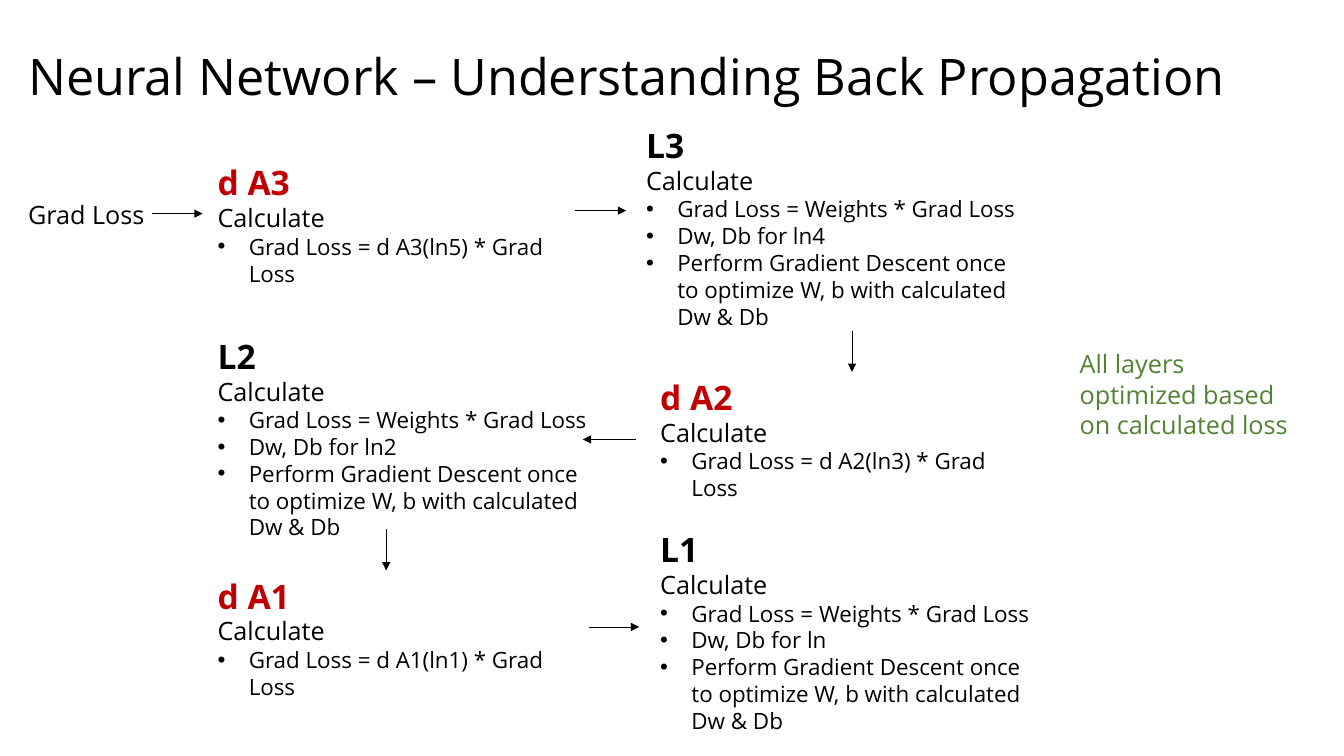
from dataclasses import dataclass

from lxml.etree import SubElement
from pptx import Presentation
from pptx.dml.color import RGBColor
from pptx.enum.shapes import MSO_CONNECTOR
from pptx.enum.text import MSO_ANCHOR, MSO_AUTO_SIZE
from pptx.oxml.ns import qn
from pptx.util import Emu, Pt

EMU_PER_PX = 9144


@dataclass(frozen=True)
class Theme:
    font: str = "Open Sans"
    ink: str = "000000"
    activation: str = "C00000"
    conclusion: str = "548235"
    title: int = 36
    heading: int = 24
    body: int = 18
    bullet: int = 16
    arrow_width: float = 0.5
    bullet_indent: int = 31


THEME = Theme()


def px(length):
    return Emu(length * EMU_PER_PX)


def apply_format(target, values):
    for name, value in values.items():
        setattr(target, name, value)


def add_text_frame(slide, left, top, width, height, **frame_format):
    shape = slide.shapes.add_textbox(px(left), px(top), px(width), px(height))
    defaults = {"word_wrap": True, "auto_size": MSO_AUTO_SIZE.SHAPE_TO_FIT_TEXT}
    apply_format(shape.text_frame, defaults | frame_format)
    return shape.text_frame


def write(paragraph, text, size, color=THEME.ink, bold=False):
    run = paragraph.add_run()
    run.text = text
    apply_format(run.font, {"name": THEME.font, "size": Pt(size), "bold": bold})
    run.font.color.rgb = RGBColor.from_string(color)


def add_bullet(paragraph):
    properties = paragraph._p.get_or_add_pPr()
    indent = px(THEME.bullet_indent)
    properties.set("marL", str(indent))
    properties.set("indent", str(-indent))
    SubElement(properties, qn("a:buFont"), typeface="Arial")
    SubElement(properties, qn("a:buChar"), char="•")


def add_title(slide, text):
    frame = add_text_frame(slide, 18, 6, 1275, 145,
                           auto_size=MSO_AUTO_SIZE.NONE,
                           vertical_anchor=MSO_ANCHOR.MIDDLE)
    frame.paragraphs[0].line_spacing = 0.9
    write(frame.paragraphs[0], text, THEME.title)


def add_label(slide, text, left, top, width, height, color=THEME.ink):
    frame = add_text_frame(slide, left, top, width, height)
    write(frame.paragraphs[0], text, THEME.body, color)


def add_step(slide, heading, color, bullets, left, top, width, height):
    frame = add_text_frame(slide, left, top, width, height)
    write(frame.paragraphs[0], heading, THEME.heading, color, bold=True)
    write(frame.add_paragraph(), "Calculate", THEME.body)
    for text in bullets:
        paragraph = frame.add_paragraph()
        add_bullet(paragraph)
        write(paragraph, text, THEME.bullet)


def add_activation(slide, number, line_name, left, top):
    name = f"d A{number}"
    bullets = [f"Grad Loss = {name}({line_name}) * Grad Loss"]
    add_step(slide, name, THEME.activation, bullets, left, top, 376, 135)


def add_layer(slide, number, line_name, left, top):
    bullets = [
        "Grad Loss = Weights * Grad Loss",
        f"Dw, Db for {line_name}",
        "Perform Gradient Descent once to optimize W, b with calculated Dw & Db",
    ]
    add_step(slide, f"L{number}", THEME.ink, bullets, left, top, 403, 215)


def add_arrow(slide, *ends):
    connector = slide.shapes.add_connector(MSO_CONNECTOR.STRAIGHT, *map(px, ends))
    connector.line.width = Pt(THEME.arrow_width)
    connector.line.color.rgb = RGBColor.from_string(THEME.ink)
    SubElement(connector.line._get_or_add_ln(), qn("a:tailEnd"), type="triangle")
    SubElement(connector._element.spPr, qn("a:effectLst"))


def main():
    presentation = Presentation()
    apply_format(presentation, {"slide_width": px(1333), "slide_height": px(750)})
    slide = presentation.slides.add_slide(presentation.slide_layouts[6])

    add_title(slide, "Neural Network – Understanding Back Propagation")
    add_label(slide, "Grad Loss", 18, 193, 164, 40)

    for activation in [(3, "ln5", 206, 156), (2, "ln3", 645, 369), (1, "ln1", 206, 566)]:
        add_activation(slide, *activation)
    for layer in [(3, "ln4", 631, 119), (2, "ln2", 206, 328), (1, "ln", 645, 520)]:
        add_layer(slide, *layer)

    arrows = [
        (151, 212, 201, 212),
        (570, 209, 621, 209),
        (845, 328, 845, 369),
        (631, 436, 578, 436),
        (383, 525, 383, 566),
        (584, 622, 634, 622),
    ]
    for arrow in arrows:
        add_arrow(slide, *arrow)

    add_label(slide, "All layers optimized based on calculated loss",
              1061, 341, 233, 101, THEME.conclusion)
    presentation.save("out.pptx")


if __name__ == "__main__":
    main()
